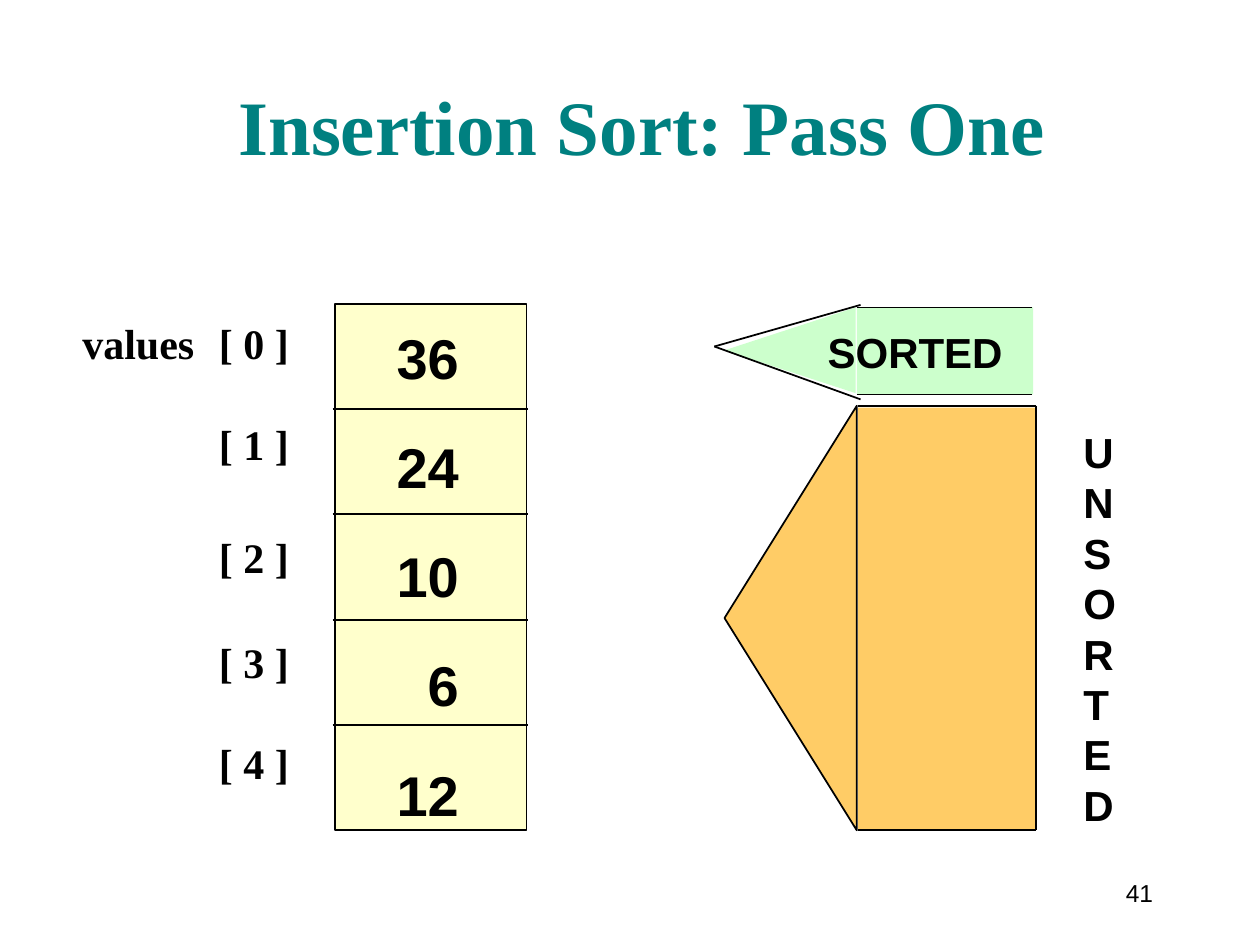
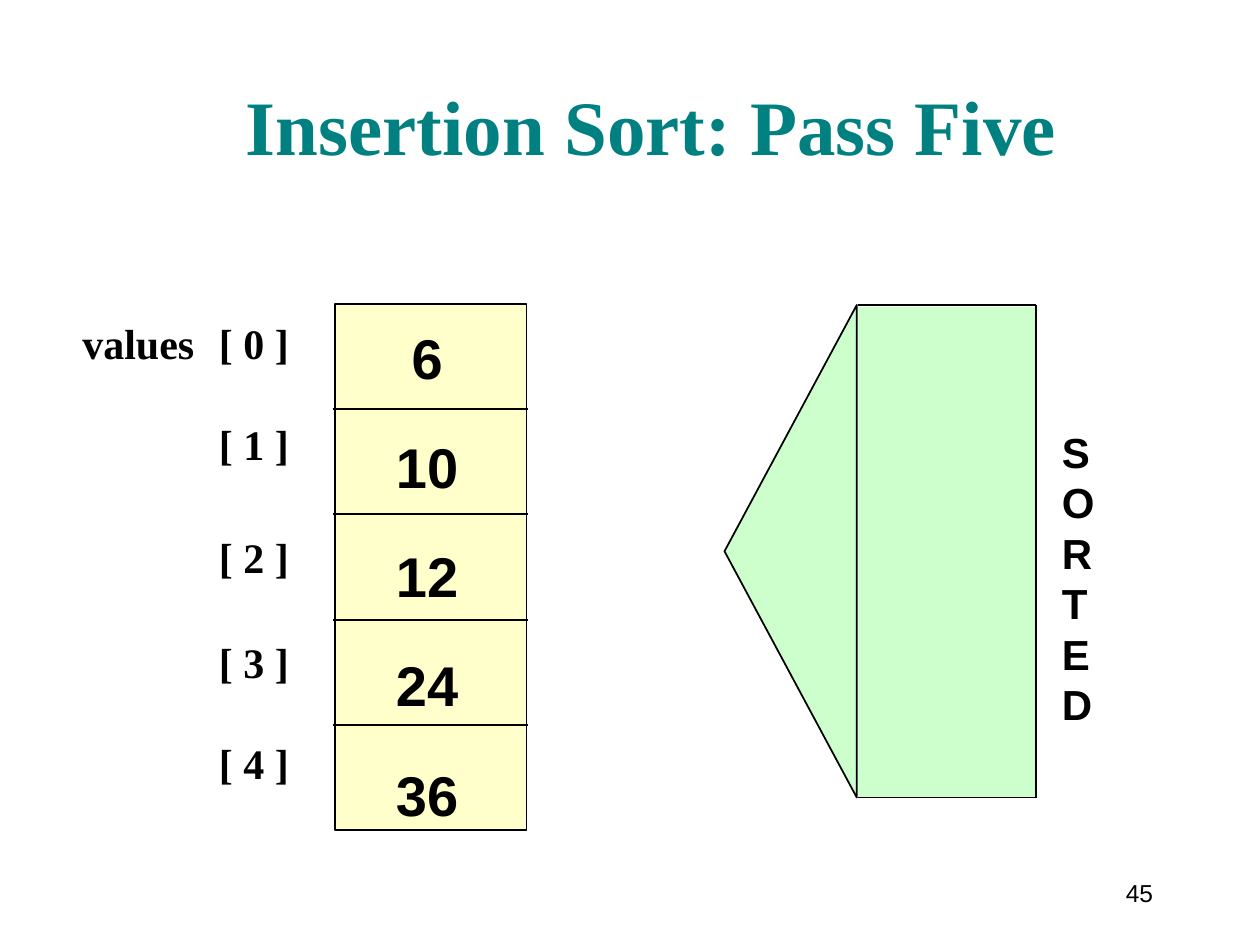
from lxml.etree import SubElement
from pptx import Presentation
from pptx.dml.color import RGBColor
from pptx.enum.shapes import MSO_CONNECTOR, MSO_SHAPE
from pptx.enum.text import MSO_ANCHOR, PP_ALIGN
from pptx.oxml.ns import qn
from pptx.util import Inches, Pt

COLORS = {
    "title": "008080",
    "ink": "000000",
    "array": "FFFFCC",
    "sorted": "CCFFCC",
    "unsorted": "FFCC66",
}
SANS, SERIF = "Arial", "Times New Roman"
COLUMNS, ROWS = 100, 75
LINE_HEIGHT = 1.2


class Deck:
    """Slide style and current slide; lengths are grid columns and rows."""

    def __init__(self):
        self.prs = Presentation()
        self.prs.slide_width, self.prs.slide_height = Inches(10), Inches(7.5)
        self.shapes = None

    def x(self, columns):
        return round(self.prs.slide_width * columns / COLUMNS)

    def y(self, rows):
        return round(self.prs.slide_height * rows / ROWS)

    def box(self, left, top, width, height):
        return self.x(left), self.y(top), self.x(width), self.y(height)

    def new_slide(self, title, number):
        self.shapes = self.prs.slides.add_slide(self.prs.slide_layouts[6]).shapes
        self.text([number], (85.8, 68.3, 6.7, 5), 14, bold=False,
                  align=PP_ALIGN.RIGHT, anchor=MSO_ANCHOR.MIDDLE)
        self.text([title], (15.3, 1.55, 72.8, 12.5), 44, SERIF, "title",
                  align=PP_ALIGN.CENTER, anchor=MSO_ANCHOR.BOTTOM)

    def text(self, lines, area, size, font=SANS, color="ink", bold=True,
             align=PP_ALIGN.LEFT, anchor=MSO_ANCHOR.TOP, gaps=(),
             inset=0.55, wrap=True, tab=None):
        frame = self.shapes.add_textbox(*self.box(*area)).text_frame
        frame.word_wrap = wrap
        frame.vertical_anchor = anchor
        frame.margin_top = self.y(inset)
        for i, line in enumerate(lines):
            paragraph = frame.add_paragraph() if i else frame.paragraphs[0]
            paragraph.text = line
            paragraph.alignment = align
            paragraph.line_spacing = Pt(size * LINE_HEIGHT)
            if i and gaps:
                paragraph.space_before = Pt(gaps[i - 1])
            if tab:
                stops = SubElement(paragraph._p.get_or_add_pPr(), qn("a:tabLst"))
                SubElement(stops, qn("a:tab"), pos=str(self.x(tab)), algn="l")
            paragraph.font.name = font
            paragraph.font.size = Pt(size)
            paragraph.font.bold = bold
            paragraph.font.color.rgb = RGBColor.from_string(COLORS[color])

    def shape(self, kind, area, fill, outlined):
        shape = self.shapes.add_shape(kind, *self.box(*area))
        shape.shadow.inherit = False
        shape.fill.solid()
        shape.fill.fore_color.rgb = RGBColor.from_string(COLORS[fill])
        if outlined:
            self.ink(shape.line)
        else:
            shape.line.fill.background()
        return shape

    def ink(self, line):
        line.width = Pt(1)
        line.color.rgb = RGBColor.from_string(COLORS["ink"])

    def bar(self, area, fill, outlined=False):
        self.shape(MSO_SHAPE.RECTANGLE, area, fill, outlined)

    def left_point(self, left, top, width, height, fill, outlined=True):
        """Triangle pointing left, given by the area it covers once turned."""
        area = (left + (width - height) / 2, top + (height - width) / 2, height, width)
        self.shape(MSO_SHAPE.ISOSCELES_TRIANGLE, area, fill, outlined).rotation = 270

    def line(self, x1, y1, x2, y2):
        rule = self.shapes.add_connector(MSO_CONNECTOR.STRAIGHT, self.x(x1),
                                         self.y(y1), self.x(x2), self.y(y2))
        self.ink(rule.line)
        SubElement(rule._element.spPr, qn("a:effectLst"))

    # Array cells with their indexes
    def array(self, values, align):
        indexes = [f"\t [ {i} ]" for i in range(len(values))]
        indexes[0] = "values" + indexes[0]
        self.text(indexes, (5.55, 17.7, 24.3, 45.3), 24, SERIF,
                  gaps=(28.8, 36, 31.2, 28.8), inset=7.5, tab=10)
        top, height = 24.1, 41.8
        self.bar((26.6, top, 15.2, height), "array", outlined=True)
        for i in range(1, len(values)):
            divider = top + i * height / len(values)
            self.line(26.4, divider, 41.9, divider)
        self.text(values, (30.4, 25.1, 7, 41), 32, align=align,
                  gaps=[24] * (len(values) - 1))

    # Large marker spanning several cells
    def region(self, top, height, fill):
        left, right, bottom = 68.1, 82.2, top + height
        self.left_point(57.5, top, 10.5, height, fill)
        self.bar((left, top + 0.15, right - left, height - 0.2), fill)
        for edge in (top, bottom):
            self.line(left, edge, right, edge)
        self.line(right, top, right, bottom)

    # Small marker beside the first cell
    def sorted_tag(self):
        left, right, top, bottom = 68, 81.9, 24.4, 31.3
        self.left_point(57.5, top, 10.4, 6.8, "sorted", outlined=False)
        self.bar((left, top, 14, bottom - top), "sorted")
        for edge, corner in ((top, 24.2), (bottom, 31.7)):
            self.line(left, edge, right, edge)
            self.line(56.7, 27.5, 68.3, corner)
        self.text(["SORTED"], (64.7, 25.4, 15.9, 5), 24, wrap=False)

    def vertical_word(self, word, left):
        self.text(list(word), (left, 33.3, 4.6, 4 * len(word) + 1), 24)


def main():
    deck = Deck()

    # Pass one: only the first value is sorted
    deck.new_slide("Insertion Sort: Pass One ", "41")
    deck.array(["36", "24", "10", "6", "12"], PP_ALIGN.RIGHT)
    deck.region(32.2, 33.7, "unsorted")
    deck.sorted_tag()
    deck.vertical_word("UNSORTED", 85)

    # Pass five: the whole array is sorted
    deck.new_slide("Insertion Sort: Pass Five", "45")
    deck.array(["6", "10", "12", "24", "36"], PP_ALIGN.CENTER)
    deck.region(24.2, 39.1, "sorted")
    deck.vertical_word("SORTED", 83.3)

    deck.prs.save("out.pptx")


if __name__ == "__main__":
    main()
